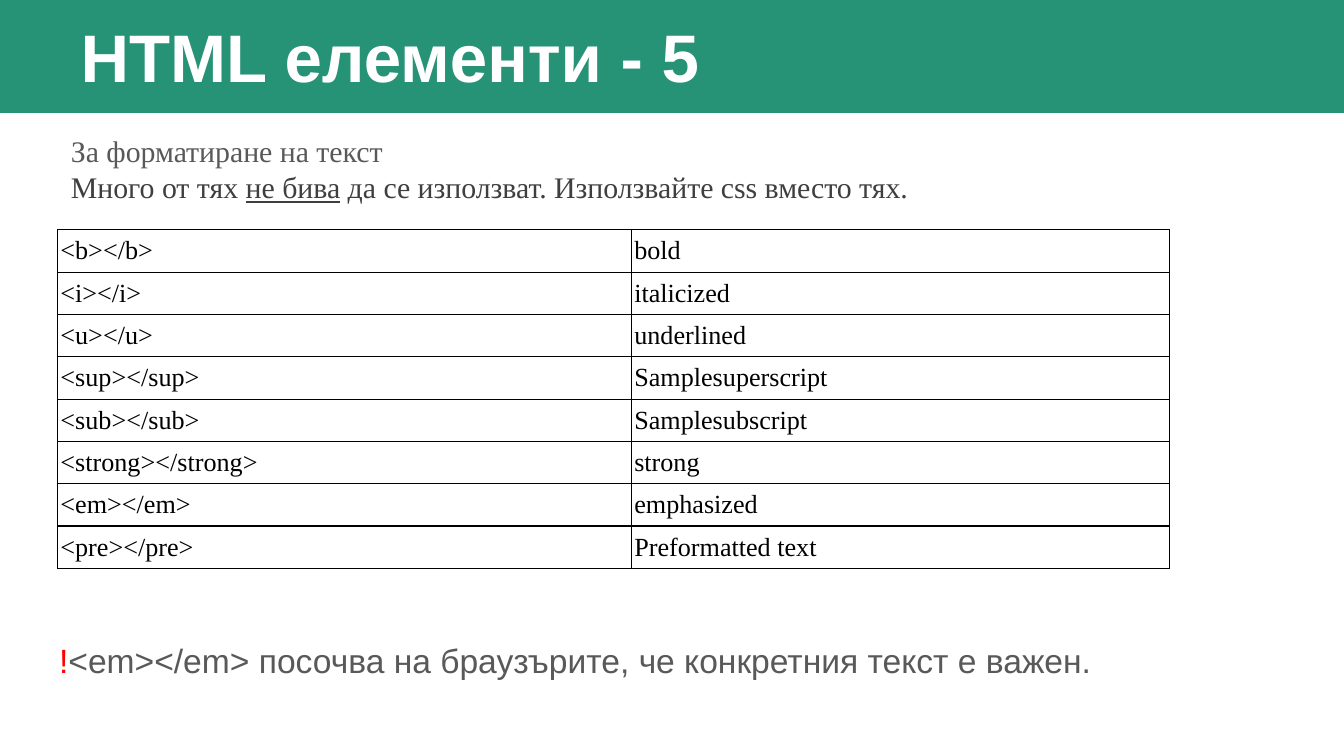
"""Build the slide on HTML text formatting elements."""
from lxml.etree import SubElement
from pptx import Presentation
from pptx.dml.color import RGBColor
from pptx.enum.shapes import MSO_SHAPE
from pptx.enum.text import MSO_ANCHOR, PP_ALIGN
from pptx.oxml.ns import qn
from pptx.util import Inches, Pt

TITLE = "HTML елементи - 5"
INTRO = [
    [("За форматиране на текст", {"color": "595959"})],
    [
        ("Много от тях ", {}),
        ("не бива", {"underline": True}),
        (" да се използват. Използвайте css вместо тях.", {}),
    ],
]
ELEMENTS = [
    ("b", "bold"),
    ("i", "italicized"),
    ("u", "underlined"),
    ("sup", "Samplesuperscript"),
    ("sub", "Samplesubscript"),
    ("strong", "strong"),
    ("em", "emphasized"),
    ("pre", "Preformatted text"),
]
NOTE = [[
    ("!", {"color": "FF0000"}),
    ("<em></em> посочва на браузърите, че конкретния текст е важен.", {}),
]]
GREEN = "269276"
TITLE_FONT = {"name": "Arial", "size": Pt(36), "bold": True, "color": "FFFFFF"}
INTRO_FONT = {"name": "Times New Roman", "size": Pt(16), "color": "3F3F3F"}
CELL_FONT = {"name": "Times New Roman", "size": Pt(14), "color": "000000"}
NOTE_FONT = {"name": "Arial", "size": Pt(18), "color": "595959"}
COLUMN_WIDTHS = (4.27, 4)
TABLE_HEIGHT = 2.52


def paint(color_format, color):
    color_format.rgb = RGBColor.from_string(color)


def fill_solid(fill, color):
    fill.solid()
    paint(fill.fore_color, color)


def place(shape, left, top, width, height):
    shape.left, shape.top = Inches(left), Inches(top)
    shape.width, shape.height = Inches(width), Inches(height)


def write(frame, paragraphs, font, spacing=1.0):
    for index, runs in enumerate(paragraphs):
        paragraph = frame.add_paragraph() if index else frame.paragraphs[0]
        paragraph.alignment = PP_ALIGN.LEFT
        paragraph.line_spacing = spacing
        paragraph.space_before = Pt(0)
        for text, changes in runs:
            run = paragraph.add_run()
            run.text = text
            for name, value in {**font, **changes}.items():
                if name == "color":
                    paint(run.font.color, value)
                else:
                    setattr(run.font, name, value)


def set_frame(frame, anchor, top, bottom):
    frame.word_wrap = True
    frame.vertical_anchor = anchor
    frame.margin_left = frame.margin_right = Inches(0.1)
    frame.margin_top, frame.margin_bottom = Inches(top), Inches(bottom)


def remove_bullet(paragraph, indent=0):
    properties = paragraph._p.get_or_add_pPr()
    properties.set("marL", str(Inches(indent)))
    properties.set("indent", "0")
    SubElement(properties, qn("a:buNone"))


def add_borders(cell):
    properties = cell._tc.get_or_add_tcPr()
    for index, side in enumerate(("lnL", "lnR", "lnT", "lnB")):
        line = properties.makeelement(qn(f"a:{side}"), {"w": str(Pt(0.75))})
        fill = SubElement(line, qn("a:solidFill"))
        SubElement(fill, qn("a:srgbClr"), val="000000")
        properties.insert(index, line)


def add_title(slide):
    band = slide.shapes.add_shape(
        MSO_SHAPE.RECTANGLE, 0, 0, Inches(10), Inches(0.84))
    band.shadow.inherit = False
    fill_solid(band.fill, GREEN)
    band.line.fill.background()
    slide.shapes.element.insert(2, band.element)
    title = slide.shapes.title
    place(title, 0, 0.02, 7.44, 0.77)
    fill_solid(title.fill, GREEN)
    set_frame(title.text_frame, MSO_ANCHOR.TOP, 0.09, 0.1)
    write(title.text_frame, [[(TITLE, {})]], TITLE_FONT)
    remove_bullet(title.text_frame.paragraphs[0], 0.5)


def add_note(slide):
    note = slide.placeholders[1]
    place(note, 0.34, 1.26, 9.32, 3.8)
    set_frame(note.text_frame, MSO_ANCHOR.BOTTOM, 0.1, 0)
    write(note.text_frame, NOTE, NOTE_FONT, 1.15)
    remove_bullet(note.text_frame.paragraphs[0])


def add_elements_table(slide):
    table = slide.shapes.add_table(
        len(ELEMENTS), len(COLUMN_WIDTHS), Inches(0.43), Inches(1.71),
        Inches(sum(COLUMN_WIDTHS)), Inches(TABLE_HEIGHT)).table
    table.first_row = table.horz_banding = False
    for column, width in zip(table.columns, COLUMN_WIDTHS):
        column.width = Inches(width)
    for row, (tag, meaning) in zip(table.rows, ELEMENTS):
        row.height = Inches(TABLE_HEIGHT / len(ELEMENTS))
        for cell, text in zip(row.cells, (f"<{tag}></{tag}>", meaning)):
            fill_solid(cell.fill, "FFFFFF")
            add_borders(cell)
            cell.margin_left = cell.margin_right = Inches(0.02)
            cell.margin_top = cell.margin_bottom = Inches(0.04)
            cell.vertical_anchor = MSO_ANCHOR.MIDDLE
            write(cell.text_frame, [[(text, {})]], CELL_FONT)


def add_intro(slide):
    intro = slide.shapes.add_textbox(
        Inches(0.43), Inches(0.92), Inches(7.64), Inches(3.33))
    set_frame(intro.text_frame, MSO_ANCHOR.TOP, 0.07, 0.05)
    write(intro.text_frame, INTRO, INTRO_FONT)


def main():
    presentation = Presentation()
    presentation.slide_width = Inches(10)
    presentation.slide_height = presentation.slide_width * 9 // 16
    slide = presentation.slides.add_slide(presentation.slide_layouts[1])
    add_title(slide)
    add_note(slide)
    add_elements_table(slide)
    add_intro(slide)
    presentation.save("out.pptx")


if __name__ == "__main__":
    main()
